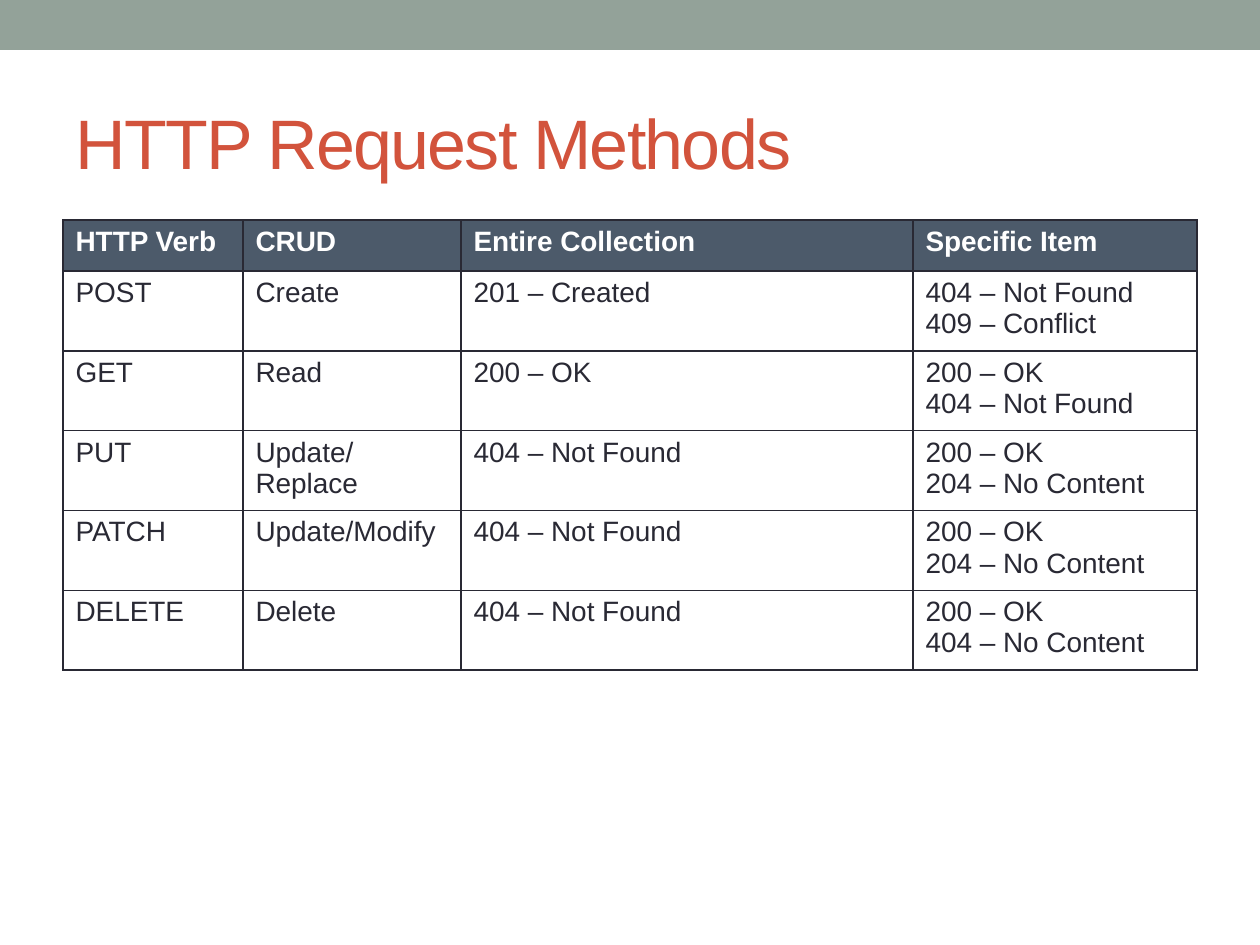
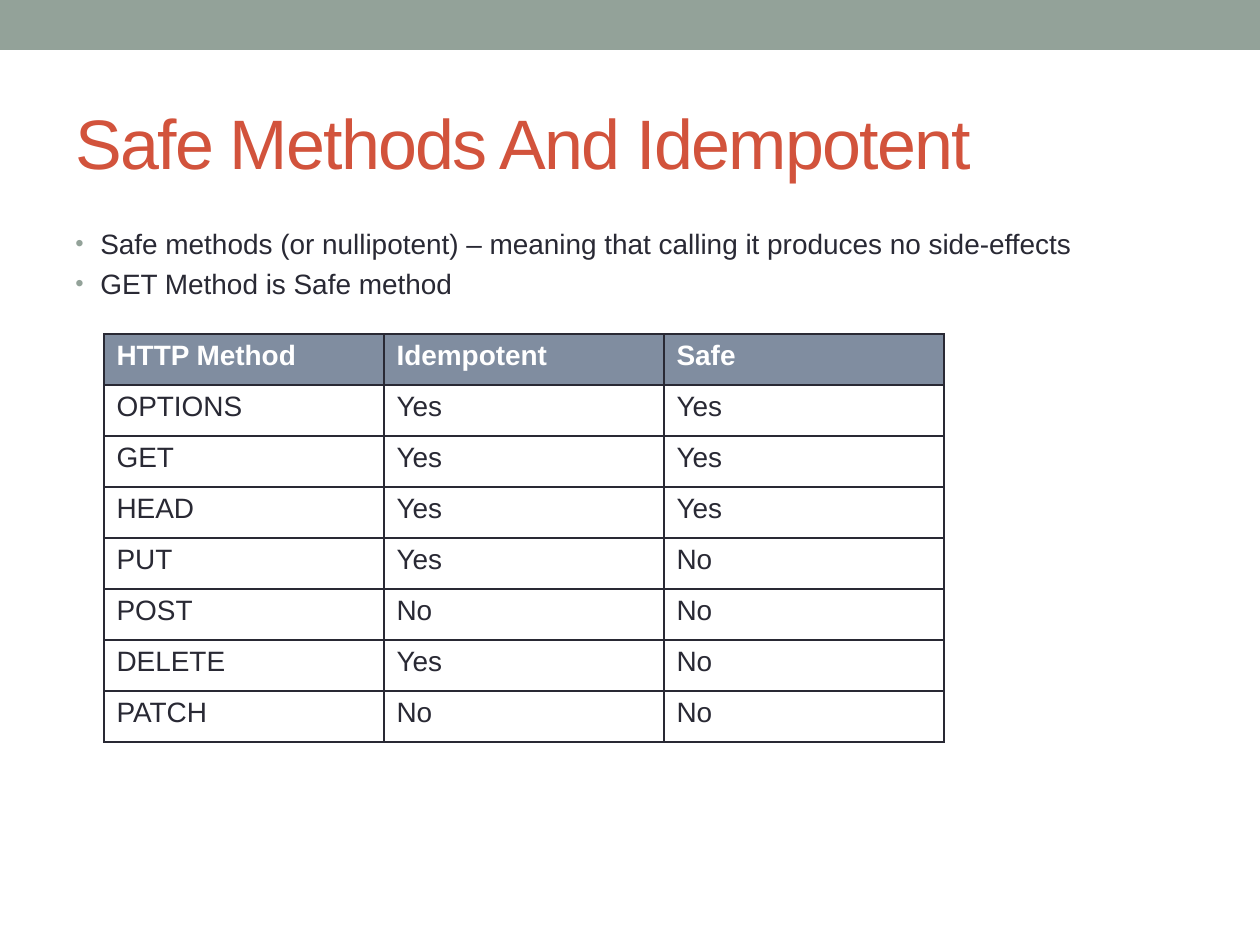
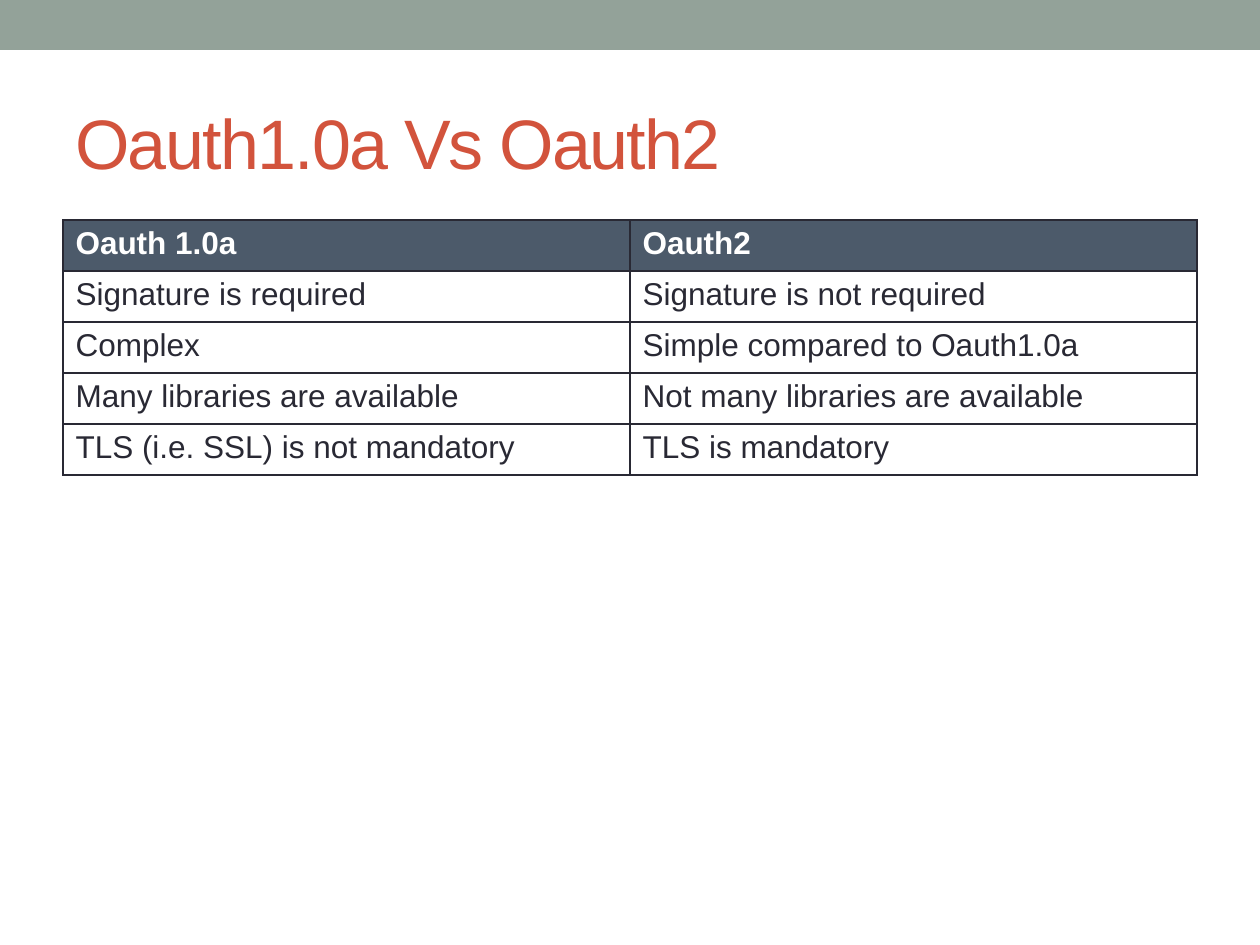
from dataclasses import dataclass

from lxml.etree import SubElement
from pptx import Presentation
from pptx.dml.color import RGBColor
from pptx.enum.shapes import MSO_SHAPE
from pptx.enum.text import MSO_ANCHOR
from pptx.oxml.ns import qn
from pptx.slide import Slide
from pptx.text.text import TextFrame
from pptx.util import Emu, Pt


@dataclass(frozen=True)
class Theme:
    font: str = "Arial"
    band: str = "93A299"
    title: str = "D2533C"
    ink: str = "292934"
    white: str = "FFFFFF"
    slate: str = "4C5A6A"
    mist: str = "808DA0"
    head_size: int = 40
    text_size: int = 16
    large_size: int = 18


@dataclass(frozen=True)
class Grid:
    left: int
    top: int
    cols: list[int]
    rows: list[list[str]]
    fill: str
    size: int
    tall: int = 51  # height of each row below the header


@dataclass(frozen=True)
class Page:
    title: str
    grid: Grid
    points: tuple[str, ...] = ()


THEME = Theme()
WIDTH, HEIGHT = 1260, 945
LEFT, TOP, SPAN = 63, 220, 1134
HEAD = 51


def px(count: int) -> Emu:
    return Emu(round(count * 914400 / 126))


def tint(name: str) -> RGBColor:
    return RGBColor.from_string(name)


# Text
def write(frame: TextFrame, text: str, *, size: int, color: str = THEME.ink,
          bold: bool = False, track: int = 0, bullet: bool = False) -> None:
    """Fill a frame with one paragraph per line of text."""
    frame.word_wrap = True
    for i, line in enumerate(text.split("\n")):
        para = frame.add_paragraph() if i else frame.paragraphs[0]
        run = para.add_run()
        run.text = line
        font = run.font
        font.name, font.size, font.bold = THEME.font, Pt(size), bold
        font.color.rgb = tint(color)
        if track:
            run._r.get_or_add_rPr().set("spc", str(track))
        if bullet:
            para.space_before = Pt(4)
            props = para._p.get_or_add_pPr()
            props.set("marL", str(px(25)))
            props.set("indent", str(-px(25)))
            shade = SubElement(props, qn("a:buClr"))
            SubElement(shade, qn("a:srgbClr"), val=THEME.band)
            SubElement(props, qn("a:buSzPct"), val="85000")
            SubElement(props, qn("a:buFont"), typeface=THEME.font)
            SubElement(props, qn("a:buChar"), char="•")


def add_box(slide: Slide, top: int, height: int) -> TextFrame:
    return slide.shapes.add_textbox(px(LEFT), px(top), px(SPAN), px(height)).text_frame


# Shared band and title
def add_frame(slide: Slide, title: str) -> None:
    band = slide.shapes.add_shape(MSO_SHAPE.RECTANGLE, 0, 0, px(WIDTH), px(50))
    band.shadow.inherit = False
    band.fill.solid()
    band.fill.fore_color.rgb = tint(THEME.band)
    band.line.fill.background()
    frame = add_box(slide, 73, 136)
    frame.vertical_anchor = MSO_ANCHOR.MIDDLE
    write(frame, title, size=THEME.head_size, color=THEME.title, track=-100)


# Tables
def add_grid(slide: Slide, grid: Grid) -> None:
    highs = [HEAD] + [grid.tall] * (len(grid.rows) - 1)
    table = slide.shapes.add_table(
        len(highs), len(grid.cols), px(grid.left), px(grid.top),
        px(sum(grid.cols)), px(sum(highs))).table
    table.horz_banding = False
    for col, width in zip(table.columns, grid.cols):
        col.width = px(width)
    for r, (row, high, texts) in enumerate(zip(table.rows, highs, grid.rows)):
        row.height = px(high)
        for cell, text in zip(row.cells, texts):
            props = cell._tc.get_or_add_tcPr()
            for side in ("a:lnL", "a:lnR", "a:lnT", "a:lnB"):
                line = SubElement(props, qn(side), w=str(Pt(1)))
                fill = SubElement(line, qn("a:solidFill"))
                SubElement(fill, qn("a:srgbClr"), val=THEME.ink)
            if r == 0:
                cell.fill.solid()
                cell.fill.fore_color.rgb = tint(grid.fill)
            else:
                cell.fill.background()
            write(cell.text_frame, text, size=grid.size, bold=r == 0,
                  color=THEME.ink if r else THEME.white)


PAGES = [
    Page("HTTP Request Methods", Grid(LEFT, TOP, [180, 218, 452, 284], [
        ["HTTP Verb", "CRUD", "Entire Collection", "Specific Item"],
        ["POST", "Create", "201 – Created", "404 – Not Found\n409 – Conflict"],
        ["GET", "Read", "200 – OK", "200 – OK\n404 – Not Found"],
        ["PUT", "Update/Replace", "404 – Not Found", "200 – OK\n204 – No Content"],
        ["PATCH", "Update/Modify", "404 – Not Found", "200 – OK\n204 – No Content"],
        ["DELETE", "Delete", "404 – Not Found", "200 – OK\n404 – No Content"],
    ], THEME.slate, THEME.text_size, tall=75)),
    Page("Safe Methods And Idempotent", Grid(104, 334, [280] * 3, [
        ["HTTP Method", "Idempotent", "Safe"],
        ["OPTIONS", "Yes", "Yes"],
        ["GET", "Yes", "Yes"],
        ["HEAD", "Yes", "Yes"],
        ["PUT", "Yes", "No"],
        ["POST", "No", "No"],
        ["DELETE", "Yes", "No"],
        ["PATCH", "No", "No"],
    ], THEME.mist, THEME.text_size), (
        "Safe methods (or nullipotent) – meaning that calling it produces no side-effects",
        "GET Method is Safe method",
    )),
    Page("Oauth1.0a Vs Oauth2", Grid(LEFT, TOP, [SPAN // 2] * 2, [
        ["Oauth 1.0a", "Oauth2"],
        ["Signature is required", "Signature is not required"],
        ["Complex", "Simple compared to Oauth1.0a"],
        ["Many libraries are available", "Not many libraries are available"],
        ["TLS (i.e. SSL) is not mandatory", "TLS is mandatory"],
    ], THEME.slate, THEME.large_size)),
]


def main() -> None:
    deck = Presentation()
    deck.slide_width, deck.slide_height = px(WIDTH), px(HEIGHT)
    for page in PAGES:
        slide = deck.slides.add_slide(deck.slide_layouts[6])
        add_frame(slide, page.title)
        if page.points:
            write(add_box(slide, TOP, 672), "\n".join(page.points),
                  size=THEME.text_size, bullet=True)
        add_grid(slide, page.grid)
    deck.save("out.pptx")


if __name__ == "__main__":
    main()
